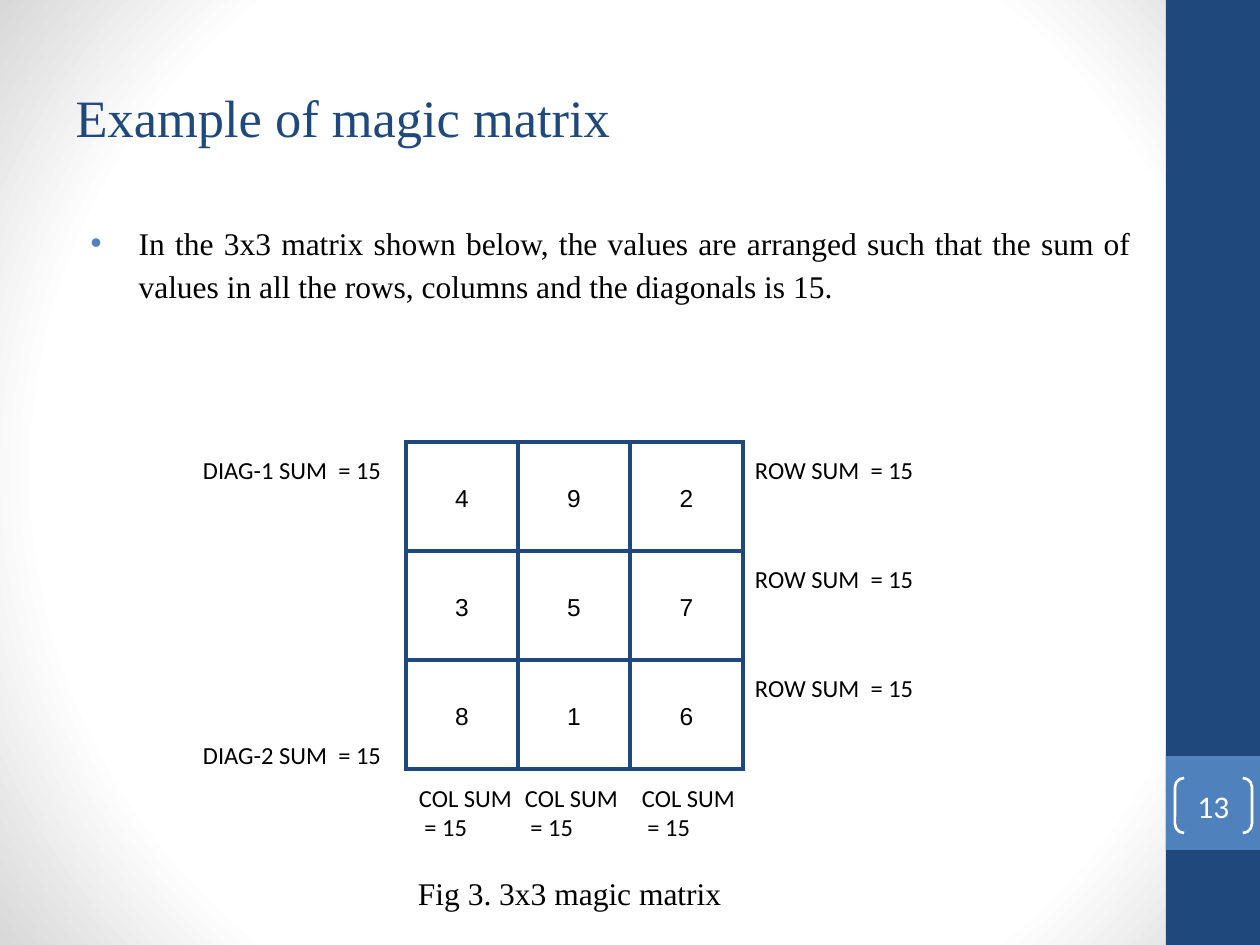
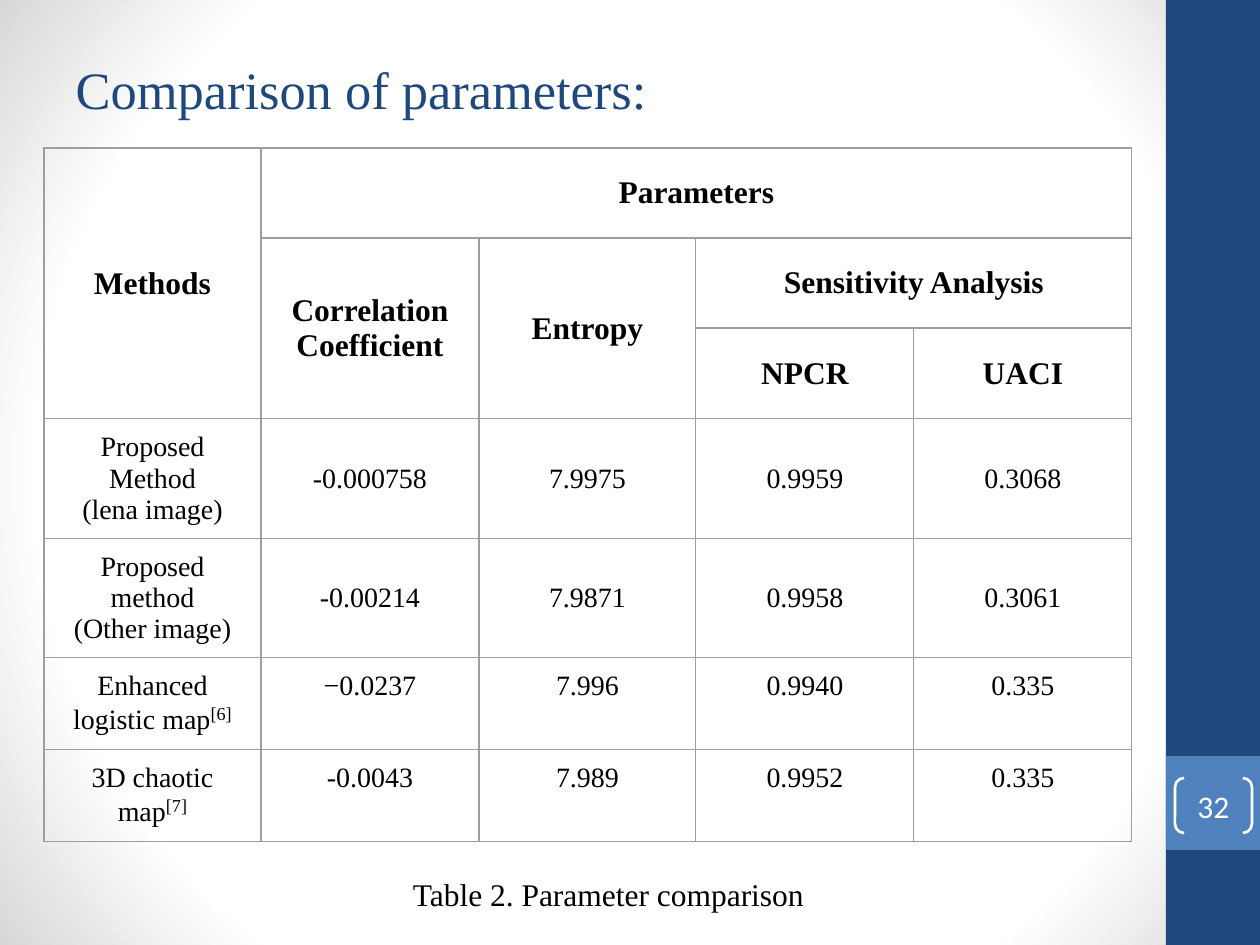
from lxml import etree
from pptx import Presentation
from pptx import util as u
from pptx.dml.color import RGBColor
from pptx.enum import shapes, text
from pptx.oxml import parse_xml
from pptx.oxml.ns import nsdecls, qn

# Content
MAGIC_TITLE = "Example of magic matrix"
MAGIC_RULE = ("In the 3x3 matrix shown below, the values are arranged such that "
              "the sum of values in all the rows, columns and the diagonals is 15.")
MAGIC_ROWS = [("4", "9", "2"), ("3", "5", "7"), ("8", "1", "6")]
ROW_SUM, COL_SUM = "ROW SUM  = 15", "COL SUM  = 15"
DIAGONAL_SUMS = [("DIAG-1 SUM  = 15", 442), ("DIAG-2 SUM  = 15", 727)]
MAGIC_CAPTION = "Fig 3. 3x3 magic matrix"

COMPARISON_TITLE = "Comparison of parameters:"
HEADINGS = [  # text, row, column, rows spanned, columns spanned
    ("Methods", 0, 0, 3, 1),
    ("Parameters", 0, 1, 1, 4),
    ("Correlation Coefficient", 1, 1, 2, 1),
    ("Entropy", 1, 2, 2, 1),
    ("Sensitivity Analysis", 1, 3, 1, 2),
    ("NPCR", 2, 3, 1, 1),
    ("UACI", 2, 4, 1, 1),
]
METHODS = [  # method, reference, values
    ("Proposed Method\n(lena image)", "", ("-0.000758", "7.9975", "0.9959", "0.3068")),
    ("Proposed method\n(Other image)", "", ("-0.00214", "7.9871", "0.9958", "0.3061")),
    ("Enhanced logistic map", "[6]", ("−0.0237", "7.996", "0.9940", "0.335")),
    ("3D chaotic map", "[7]", ("-0.0043", "7.989", "0.9952", "0.335")),
]
COMPARISON_CAPTION = "Table 2. Parameter comparison"

# Shared style
NAVY, BLUE, GREY, BLACK, WHITE = "1F497D", "4F81BD", "9E9E9E", "000000", "FFFFFF"
SERIF, SANS, DIGITS = "Times New Roman", "Calibri", "Arial"
LEFT, CENTER, JUSTIFY = (text.PP_ALIGN.LEFT, text.PP_ALIGN.CENTER, text.PP_ALIGN.JUSTIFY)
TOP, MIDDLE = text.MSO_ANCHOR.TOP, text.MSO_ANCHOR.MIDDLE
PX_PER_INCH = 126
INSET = 13


def px(length):
    return u.Emu(round(length * 914400 / PX_PER_INCH))


def box(*lengths):
    return [px(length) for length in lengths]


def color(code):
    return RGBColor.from_string(code)


def style(frame, size, font=SERIF, ink=BLACK, align=LEFT, bold=False, spacing=None):
    for paragraph in frame.paragraphs:
        paragraph.alignment = align
        if spacing:
            paragraph.line_spacing = spacing
        for run in paragraph.runs:
            run.font.size = u.Pt(size)
            run.font.name = font
            run.font.bold = bold
            run.font.color.rgb = color(ink)


def inset(holder, margin=INSET):
    holder.margin_left = holder.margin_right = px(margin)
    holder.margin_top = holder.margin_bottom = px(margin)


def place(shape, left, top, width, height):
    shape.left, shape.top, shape.width, shape.height = box(left, top, width, height)


def add_label(slide, words, place_at, size=14, font=SANS, align=LEFT):
    frame = slide.shapes.add_textbox(*box(*place_at)).text_frame
    frame.word_wrap = True
    inset(frame)
    frame.text = words
    style(frame, size, font, align=align)


def add_band(slide, top, height, fill):
    band = slide.shapes.add_shape(shapes.MSO_SHAPE.RECTANGLE, *box(1166, top, 94, height))
    band.shadow.inherit = False
    band.fill.solid()
    band.fill.fore_color.rgb = color(fill)
    band.line.fill.background()


def add_page_number(slide, number):
    brackets = slide.shapes.add_shape(shapes.MSO_SHAPE.DOUBLE_BRACKET,
                                      *box(1175, 778, 77, 55))
    brackets.shadow.inherit = False
    brackets.fill.background()
    brackets.line.color.rgb = color(WHITE)
    brackets.line.width = u.Pt(1.5)
    frame = brackets.text_frame
    inset(frame, 0)
    frame.vertical_anchor = MIDDLE
    frame.text = number
    style(frame, 18, SANS, WHITE, CENTER)


def set_background(master):
    """Light radial gradient behind every slide."""
    page = master.element.find(qn("p:cSld"))
    for old in page.findall(qn("p:bg")):
        page.remove(old)
    stops = "".join(f'<a:gs pos="{at * 1000}"><a:srgbClr val="{code}"/></a:gs>'
                    for at, code in [(0, WHITE), (75, WHITE), (100, "D8D8D8")])
    page.insert(0, parse_xml(
        f'<p:bg {nsdecls("p", "a")}><p:bgPr><a:gradFill><a:gsLst>{stops}</a:gsLst>'
        '<a:path path="circle"><a:fillToRect l="50000" t="50000" r="50000" b="50000"/>'
        '</a:path></a:gradFill><a:effectLst/></p:bgPr></p:bg>'))


def add_slide(deck, layout, title, title_top, number):
    slide = deck.slides.add_slide(deck.slide_layouts[layout])
    add_band(slide, 0, 945, NAVY)
    add_band(slide, 756, 94, BLUE)
    heading = slide.shapes.title
    place(heading, 63, title_top, 1050, 158)
    heading.text_frame.text = title
    heading.text_frame.vertical_anchor = MIDDLE
    style(heading.text_frame, 30, ink=NAVY)
    add_page_number(slide, number)
    return slide


def add_grid(slide, left, top, widths, heights, line, weight):
    """Plain table with the same border round every cell."""
    table = slide.shapes.add_table(len(heights), len(widths),
                                   *box(left, top, sum(widths), sum(heights))).table
    table.first_row = table.horz_banding = False
    for column, width in zip(table.columns, widths):
        column.width = px(width)
    for row, height in zip(table.rows, heights):
        row.height = px(height)
    for cell in table.iter_cells():
        properties = cell._tc.get_or_add_tcPr()
        for side in ("lnL", "lnR", "lnT", "lnB"):
            border = etree.SubElement(properties, qn(f"a:{side}"), w=str(u.Pt(weight)))
            fill = etree.SubElement(border, qn("a:solidFill"))
            etree.SubElement(fill, qn("a:srgbClr"), val=line)
        cell.fill.background()
        inset(cell)
    return table


def write_cell(cell, words, size, font=SERIF, anchor=MIDDLE, **options):
    cell.text_frame.text = words
    cell.vertical_anchor = anchor
    style(cell.text_frame, size, font, align=CENTER, **options)


def add_bullet(paragraph):
    properties = paragraph._p.get_or_add_pPr()
    properties.set("marL", str(px(63)))
    properties.set("indent", str(px(-48)))
    tint = etree.SubElement(properties, qn("a:buClr"))
    etree.SubElement(tint, qn("a:srgbClr"), val=BLUE)
    etree.SubElement(properties, qn("a:buFont"), typeface=DIGITS)
    etree.SubElement(properties, qn("a:buChar"), char="•")


def build_magic_matrix(deck):
    slide = add_slide(deck, 1, MAGIC_TITLE, 38, "13")
    rule = slide.placeholders[1]
    place(rule, 63, 212, 1081, 708)
    rule.text_frame.text = MAGIC_RULE
    rule.text_frame.auto_size = text.MSO_AUTO_SIZE.NONE
    style(rule.text_frame, 18, align=JUSTIFY, spacing=1.15)
    rule.text_frame.paragraphs[0].space_before = u.Pt(4)
    add_bullet(rule.text_frame.paragraphs[0])

    # Matrix with its sums on three sides
    left, top, side = 406, 442, 109
    matrix = add_grid(slide, left, top, [112, 112, 113], [side] * 3, NAVY, 2.25)
    for r, values in enumerate(MAGIC_ROWS):
        for c, value in enumerate(values):
            write_cell(matrix.cell(r, c), value, 14, DIGITS, spacing=1.15)
        add_label(slide, ROW_SUM, (742, top + r * side, 215, 37))
    for column_left in (left, 512, 629):
        add_label(slide, COL_SUM, (column_left, 770, 123, 107))
    for words, label_top in DIAGONAL_SUMS:
        add_label(slide, words, (190, label_top, 215, 37))
    add_label(slide, MAGIC_CAPTION, (405, 861, 367, 59), 18, SERIF)


def build_comparison(deck):
    slide = add_slide(deck, 5, COMPARISON_TITLE, 10, "32")
    table = add_grid(slide, 44, 148, [217, 218, 217, 218, 218],
                     [90, 90, 91, 118, 119, 91, 91], GREY, 0.75)
    for words, r, c, rows, columns in HEADINGS:
        cell = table.cell(r, c)
        if rows * columns > 1:
            cell.merge(table.cell(r + rows - 1, c + columns - 1))
        write_cell(cell, words, 18, bold=True)
    for r, (method, reference, values) in enumerate(METHODS, start=3):
        anchor = TOP if reference else MIDDLE
        for c, words in enumerate((method, *values)):
            write_cell(table.cell(r, c), words, 16, anchor=anchor)
        if reference:
            mark = table.cell(r, 0).text_frame.paragraphs[0].add_run()
            mark.text = reference
            mark.font.size = u.Pt(18)
            mark.font.name = SERIF
            mark.font.color.rgb = color(BLACK)
            mark._r.get_or_add_rPr().set("baseline", "30000")
    add_label(slide, COMPARISON_CAPTION, (384, 862, 449, 63), 18, SERIF, CENTER)


def main():
    deck = Presentation()
    deck.slide_width, deck.slide_height = box(1260, 945)
    set_background(deck.slide_master)
    build_magic_matrix(deck)
    build_comparison(deck)
    deck.save("out.pptx")


if __name__ == "__main__":
    main()
